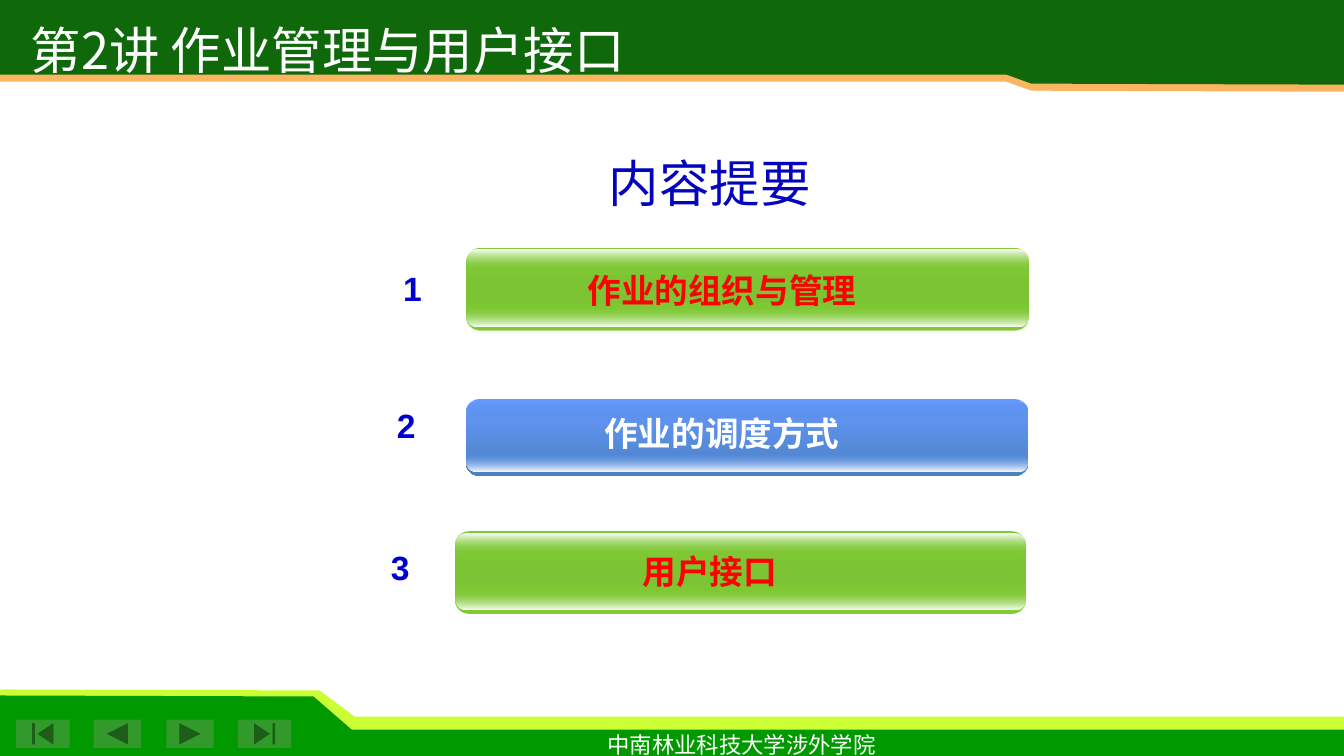
from lxml import etree
from pptx import Presentation
from pptx.dml.color import RGBColor
from pptx.enum import shapes, text
from pptx.oxml import ns
from pptx.util import Inches, Pt

WHITE = RGBColor(0xFF, 0xFF, 0xFF)
RED = RGBColor(0xFF, 0x00, 0x00)
NUMBER_BLUE = RGBColor(0x00, 0x00, 0xCC)
HEADING_BLUE = RGBColor(0x04, 0x04, 0xBC)
DARK_GREEN = RGBColor(0x0F, 0x69, 0x0B)
ORANGE = RGBColor(0xFB, 0xB5, 0x61)
LIME = RGBColor(0xCC, 0xFF, 0x33)
GREEN = RGBColor(0x00, 0x99, 0x00)
BUTTON_GREEN = RGBColor(0x32, 0x9A, 0x2A)
BAR_GREEN = RGBColor(0x80, 0xCB, 0x35)
BAR_GREEN_MID = RGBColor(0x7C, 0xC4, 0x33)
BAR_BLUE = RGBColor(0x66, 0x99, 0xFF)
BAR_BLUE_LOW = RGBColor(0x4B, 0x81, 0xC2)
BAR_BLUE_MID = RGBColor(0x51, 0x8C, 0xD3)

CJK_FONT = "Noto Sans CJK SC"
SLIDE_W, SLIDE_H = 13.33, 7.5

# Gradient stops: position in percent, colour, opacity in percent
GREEN_BAR = {
    "body": [(0, BAR_GREEN, 100), (50, BAR_GREEN_MID, 100), (100, BAR_GREEN, 100)],
    "bottom": [(0, BAR_GREEN, 0), (100, WHITE, 100)],
    "top": [(0, WHITE, 100), (100, BAR_GREEN, 0)],
    "label": RED,
}
BLUE_BAR = {
    "body": [(0, BAR_BLUE, 100), (100, BAR_BLUE_LOW, 100)],
    "bottom": [(0, BAR_BLUE, 0), (100, WHITE, 100)],
    "top": [(0, BAR_BLUE, 100), (100, BAR_BLUE_MID, 0)],
    "label": WHITE,
}


def add_text(slide, box, words, size, color, font="Arial", bold=False, wrap=True):
    frame = slide.shapes.add_textbox(*map(Inches, box)).text_frame
    frame.word_wrap = wrap
    frame.vertical_anchor = text.MSO_ANCHOR.MIDDLE
    frame.margin_left = frame.margin_right = 0
    frame.margin_top = frame.margin_bottom = 0
    paragraph = frame.paragraphs[0]
    paragraph.text = words
    paragraph.alignment = text.PP_ALIGN.CENTER
    paragraph.font.name = font
    paragraph.font.size = Pt(size)
    paragraph.font.bold = bold
    paragraph.font.color.rgb = color
    # East Asian typeface, placed right after the Latin one
    latin = next(paragraph._p.iter(ns.qn("a:latin")))
    latin.addnext(etree.Element(ns.qn("a:ea"), typeface=CJK_FONT))


def style_plain(shape, color):
    shape.shadow.inherit = False
    shape.fill.solid()
    shape.fill.fore_color.rgb = color
    shape.line.fill.background()


def add_band(slide, points, color):
    start, *rest = [(Inches(x), Inches(y)) for x, y in points]
    builder = slide.shapes.build_freeform(*start)
    builder.add_line_segments(rest, close=True)
    style_plain(builder.convert_to_shape(), color)


def add_gradient_bar(group, box, roundness, stops):
    bar = group.shapes.add_shape(
        shapes.MSO_SHAPE.ROUNDED_RECTANGLE, *map(Inches, box))
    bar.adjustments[0] = roundness
    bar.shadow.inherit = False
    bar.line.fill.background()
    bar.fill.gradient()
    bar.fill.gradient_angle = 270  # top to bottom
    stop_list = next(bar._element.iter(ns.qn("a:gsLst")))
    for old_stop in list(stop_list):
        stop_list.remove(old_stop)
    for position, color, opacity in stops:
        stop = etree.SubElement(stop_list, ns.qn("a:gs"), pos=str(position * 1000))
        fill = etree.SubElement(stop, ns.qn("a:srgbClr"), val=str(color))
        if opacity < 100:
            etree.SubElement(fill, ns.qn("a:alpha"), val=str(opacity * 1000))


def add_header(slide, left, top, width):
    right = left + width
    # Orange edge below, dark green above it
    for depth, color in ((0.81, ORANGE), (0.74, DARK_GREEN)):
        step = top + depth
        add_band(slide, [(right, top), (left, top), (left, step), (left + 9.98, step),
                         (left + 10.23, step + 0.09), (right, step + 0.1)], color)
    add_text(slide, (left + 0.05, top + 0.13, 6.4, 0.72), "第2讲 作业管理与用户接口",
             36, WHITE, CJK_FONT, wrap=False)


def add_footer(slide, left, top, width, height):
    right, bottom = left + width, top + height
    # Lime edge with the green band in front
    for edge, shoulder, foot, drop, color in (
            (0, 3.17, 3.52, 0.27, LIME), (0.06, 3.11, 3.49, 0.4, GREEN)):
        add_band(slide, [(left, bottom), (right, bottom), (right, top + drop),
                         (left + foot, top + drop), (left + shoulder, top + edge + 0.01),
                         (left, top + edge)], color)
    # Navigation buttons
    kinds = shapes.MSO_SHAPE
    for kind, x, button_width in (
            (kinds.ACTION_BUTTON_BEGINNING, 0.16, 0.53),
            (kinds.ACTION_BUTTON_BACK_OR_PREVIOUS, 0.93, 0.47),
            (kinds.ACTION_BUTTON_FORWARD_OR_NEXT, 1.65, 0.47),
            (kinds.ACTION_BUTTON_END, 2.36, 0.53)):
        button = slide.shapes.add_shape(
            kind, Inches(left + x), Inches(top + 0.3), Inches(button_width), Inches(0.28))
        style_plain(button, BUTTON_GREEN)
    add_text(slide, (left + 5.91, top + 0.36, 2.89, 0.37), "中南林业科技大学涉外学院",
             16, WHITE, "Times New Roman", wrap=False)


def add_agenda_item(slide, box, look, number, number_offset, label, label_offset):
    left, top, width, height = box
    # Glossy bar: body, lower sheen, upper sheen
    group = slide.shapes.add_group_shape()
    add_gradient_bar(group, box, 0.175, look["body"])
    sheen_left, sheen_width, sheen_height = left + 0.01, width - 0.02, 0.24 * height
    for sheen_top, part in ((top + 0.71 * height, "bottom"), (top + 0.02, "top")):
        add_gradient_bar(group, (sheen_left, sheen_top, sheen_width, sheen_height),
                         0.5, look[part])
    # Label sits slightly left of the bar's centre
    label_dx, label_dy = label_offset
    add_text(slide, (left + label_dx, top + label_dy, 4.4, 0.5), label,
             24, look["label"], bold=True)
    number_dx, number_dy = number_offset
    add_text(slide, (left + number_dx, top + number_dy, 0.4, 0.5), number,
             24, NUMBER_BLUE, bold=True)


def add_agenda(slide, left, top):
    add_text(slide, (left + 1.33, top, 2.4, 0.72), "内容提要", 36, HEADING_BLUE,
             CJK_FONT, wrap=False)
    items = (
        ((left + 0.11, top + 1.01, 5.59, 0.82), GREEN_BAR,
         (-0.73, 0.15), "作业的组织与管理", (0.34, 0.17)),
        ((left + 0.11, top + 2.51, 5.58, 0.76), BLUE_BAR,
         (-0.79, 0.01), "作业的调度方式", (0.34, 0.09)),
        ((left, top + 3.82, 5.67, 0.82), GREEN_BAR,
         (-0.74, 0.11), "用户接口", (0.33, 0.15)),
    )
    for number, (box, look, number_offset, label, label_offset) in enumerate(items, 1):
        add_agenda_item(slide, box, look, str(number), number_offset, label, label_offset)


def main():
    deck = Presentation()
    deck.slide_width, deck.slide_height = Inches(SLIDE_W), Inches(SLIDE_H)
    slide = deck.slides.add_slide(deck.slide_layouts[6])
    add_footer(slide, 0, 6.84, SLIDE_W, SLIDE_H - 6.84)
    add_header(slide, 0, 0, SLIDE_W)
    add_agenda(slide, 4.51, 1.45)
    deck.save("out.pptx")


if __name__ == "__main__":
    main()
